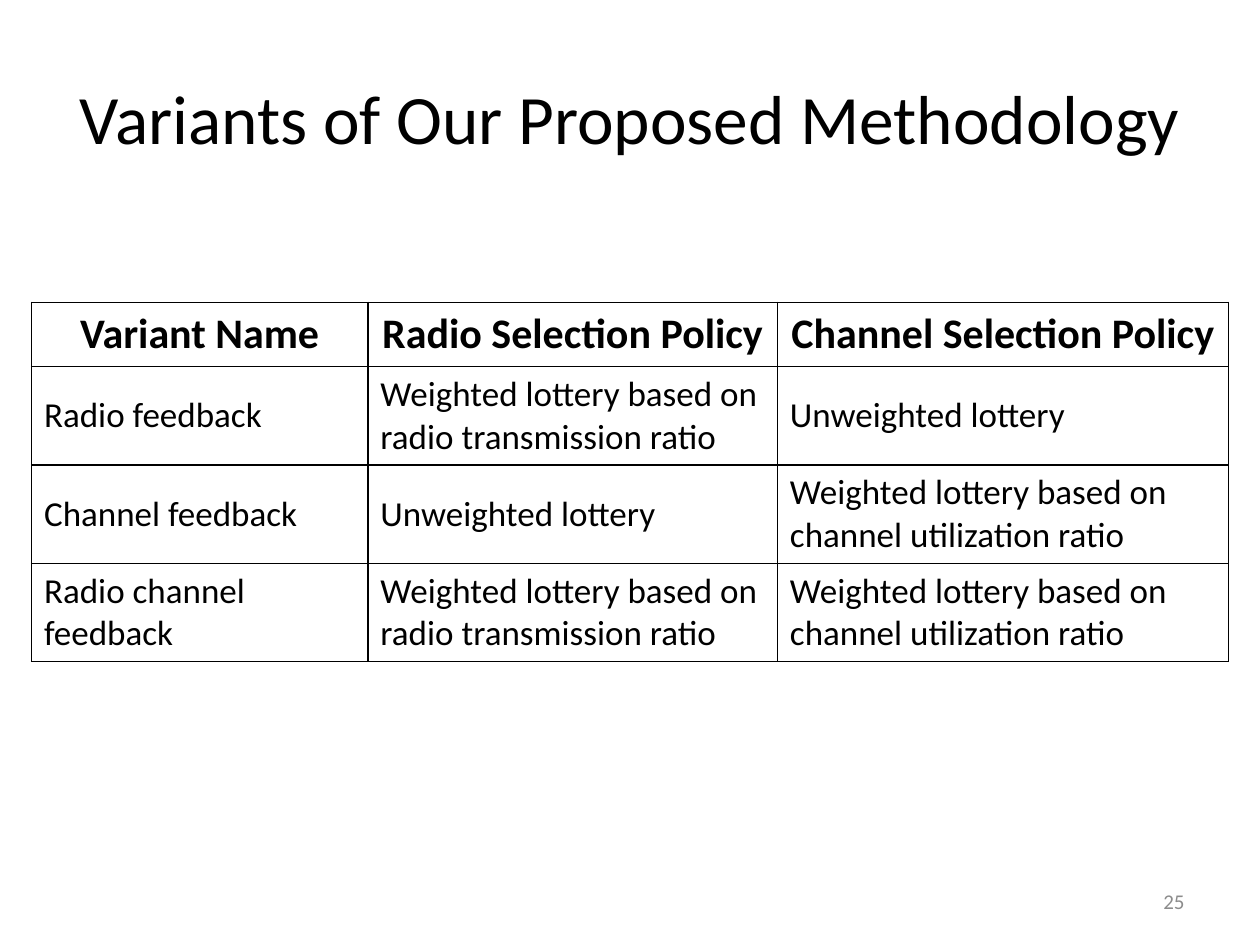
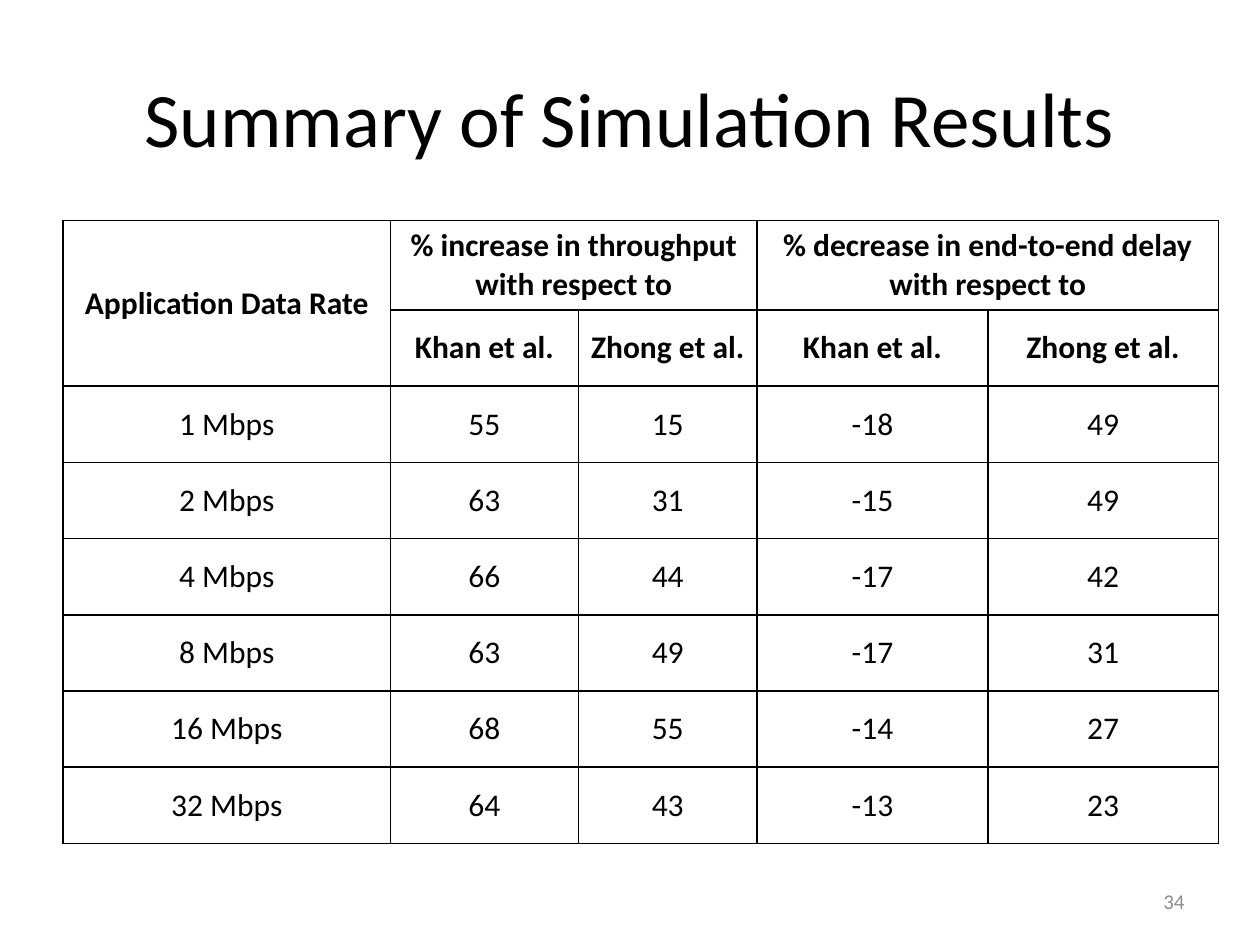
from dataclasses import dataclass
from typing import Any, NamedTuple

from lxml.etree import SubElement as Sub
from pptx import Presentation
from pptx.dml.color import RGBColor as Rgb
from pptx.enum.text import MSO_ANCHOR as Anchor, MSO_AUTO_SIZE as Fit, PP_ALIGN as Align
from pptx.oxml.ns import qn
from pptx.util import Inches, Length, Pt


@dataclass(frozen=True)
class Theme:
    font: str = "Calibri"
    ink: str = "000000"
    mute: str = "8C8C8C"
    paper: str = "FFFFFF"
    line: float = 1
    page: float = 12


class Box(NamedTuple):
    """Place in grid columns and rows."""
    x: float
    y: float
    w: float
    h: float


@dataclass(frozen=True)
class Grid:
    """Table content, with heads counting the bold rows."""
    box: Box
    cols: list[float]
    rows: list[float]
    cells: list[list[str]]
    heads: int
    head: float
    size: float
    align: Align
    spans: tuple[tuple[int, int, int, int], ...] = ()


@dataclass(frozen=True)
class Page:
    title: str
    box: Box
    size: float
    table: Grid
    num: int


THEME = Theme()
WIDE, HIGH = Inches(10), Inches(7.5)
COLS, ROWS = 40, 30
FOOT = Box(28.68, 27.8, 9.32, 1.6)

# Slide content
RADIO = "Weighted lottery based on radio transmission ratio"
CHANNEL = "Weighted lottery based on channel utilization ratio"
PLAIN = "Unweighted lottery"
PEERS = ["Khan et al.", "Zhong et al."]

VARIANTS = Grid(
    Box(1, 9.6, 38, 11.4), [10.68, 13, 14.32], [2.04] + [3.12] * 3,
    [
        ["Variant Name", "Radio Selection Policy", "Channel Selection Policy"],
        ["Radio feedback", RADIO, PLAIN],
        ["Channel feedback", PLAIN, CHANNEL],
        ["Radio channel feedback", RADIO, CHANNEL],
    ],
    heads=1, head=24, size=20, align=Align.LEFT,
)

RATES = [
    (1, 55, 15, -18, 49),
    (2, 63, 31, -15, 49),
    (4, 66, 44, -17, 42),
    (8, 63, 49, -17, 31),
    (16, 68, 55, -14, 27),
    (32, 64, 43, -13, 23),
]
RESULTS = Grid(
    Box(2, 7, 36.68, 19.78), [10.4, 5.96, 5.68, 7.32, 7.32], [2.84] + [2.42] * 7,
    [
        ["Application Data Rate", "% increase in throughput with respect to", "",
         "% decrease in end-to-end delay with respect to", ""],
        ["", *PEERS * 2],
        *([f"{rate} Mbps", *map(str, vals)] for rate, *vals in RATES),
    ],
    heads=2, head=18, size=18, align=Align.CENTER,
    spans=((0, 0, 1, 0), (0, 1, 0, 2), (0, 3, 0, 4)),
)

PAGES = [
    Page("Variants of Our Proposed Methodology", Box(1, 1.2, 38, 5), 39.6, VARIANTS, 25),
    Page("Summary of Simulation Results", Box(2, 1.2, 36, 5), 44, RESULTS, 34),
]


# Shared helpers
def across(n: float) -> Length:
    return Length(round(WIDE * n / COLS))


def down(n: float) -> Length:
    return Length(round(HIGH * n / ROWS))


def place(box: Box) -> tuple[Length, ...]:
    return across(box.x), down(box.y), across(box.w), down(box.h)


def apply(obj: Any, form: dict[str, Any]) -> None:
    for name, val in form.items():
        setattr(obj, name, val)


def write(frame: Any, text: str, size: float, align: Align,
          bold: bool = False, ink: str = THEME.ink) -> None:
    para = frame.paragraphs[0]
    para.alignment = align
    run = para.add_run()
    run.text = text
    apply(run.font, {"name": THEME.font, "size": Pt(size), "bold": bold})
    run.font.color.rgb = Rgb.from_string(ink)


def border(cell: Any) -> None:
    props = cell._tc.get_or_add_tcPr()
    for side in ("lnL", "lnR", "lnT", "lnB"):
        line = Sub(props, qn(f"a:{side}"), w=str(Pt(THEME.line)))
        Sub(Sub(line, qn("a:solidFill")), qn("a:srgbClr"), val=THEME.ink)


# Slide parts
def add_title(slide: Any, page: Page) -> None:
    shape = slide.shapes.title
    apply(shape, dict(zip(("left", "top", "width", "height"), place(page.box))))
    frame = shape.text_frame
    apply(frame, {"word_wrap": True, "auto_size": Fit.NONE,
                  "vertical_anchor": Anchor.MIDDLE})
    write(frame, page.title, page.size, Align.CENTER)


def add_grid(slide: Any, grid: Grid) -> None:
    table = slide.shapes.add_table(
        len(grid.rows), len(grid.cols), *place(grid.box)).table
    apply(table, {"first_row": False, "horz_banding": False})
    for col, width in zip(table.columns, grid.cols):
        col.width = across(width)
    for row, height in zip(table.rows, grid.rows):
        row.height = down(height)
    for r, texts in enumerate(grid.cells):
        top = r < grid.heads
        for c, text in enumerate(texts):
            cell = table.cell(r, c)
            cell.vertical_anchor = Anchor.MIDDLE
            border(cell)
            cell.fill.background()
            if text:
                write(cell.text_frame, text, grid.head if top else grid.size,
                      Align.CENTER if top else grid.align, bold=top)
    for r, c, end, last in grid.spans:
        table.cell(r, c).merge(table.cell(end, last))


def add_foot(slide: Any, num: int) -> None:
    frame = slide.shapes.add_textbox(*place(FOOT)).text_frame
    apply(frame, {"word_wrap": True, "vertical_anchor": Anchor.MIDDLE})
    write(frame, str(num), THEME.page, Align.RIGHT, ink=THEME.mute)


def main() -> None:
    deck = Presentation()
    apply(deck, {"slide_width": WIDE, "slide_height": HIGH})
    back = deck.slide_master.background.fill
    back.solid()
    back.fore_color.rgb = Rgb.from_string(THEME.paper)
    for page in PAGES:
        slide = deck.slides.add_slide(deck.slide_layouts.get_by_name("Title Only"))
        add_title(slide, page)
        add_grid(slide, page.table)
        add_foot(slide, page.num)
    deck.save("out.pptx")


if __name__ == "__main__":
    main()
